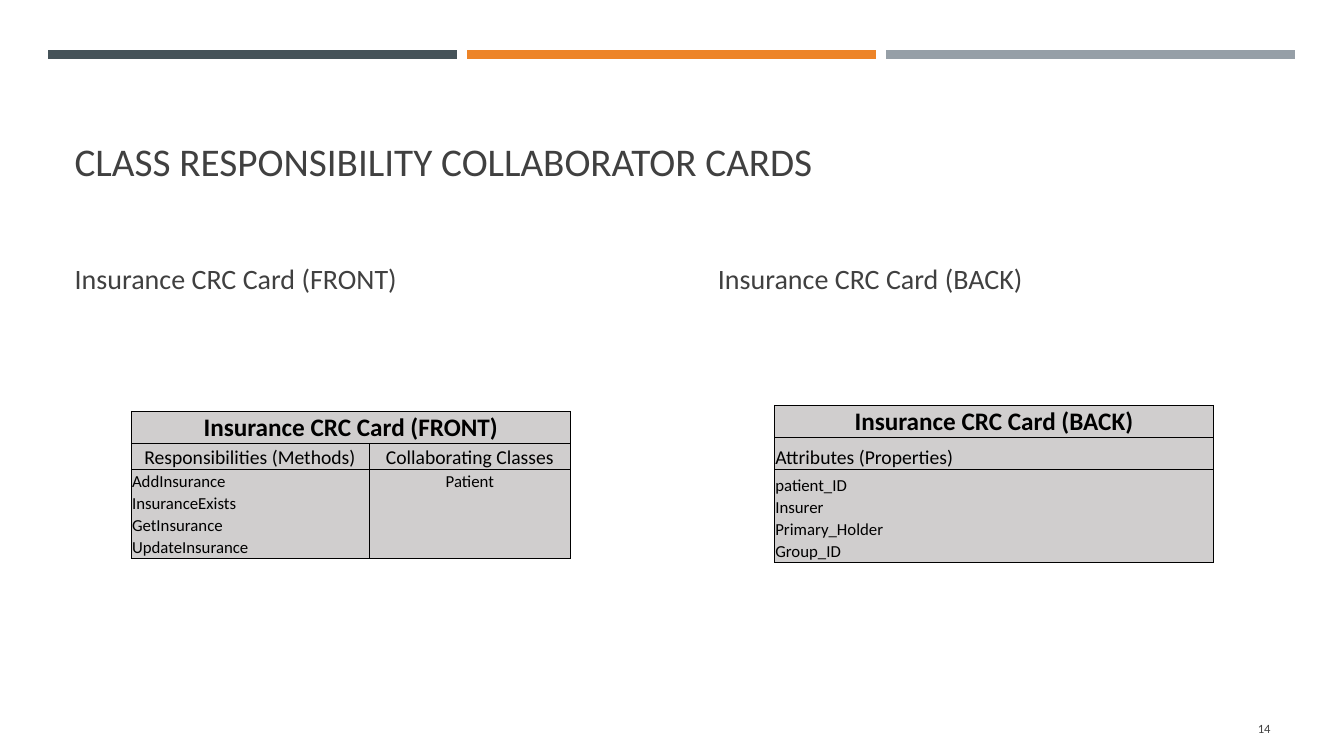
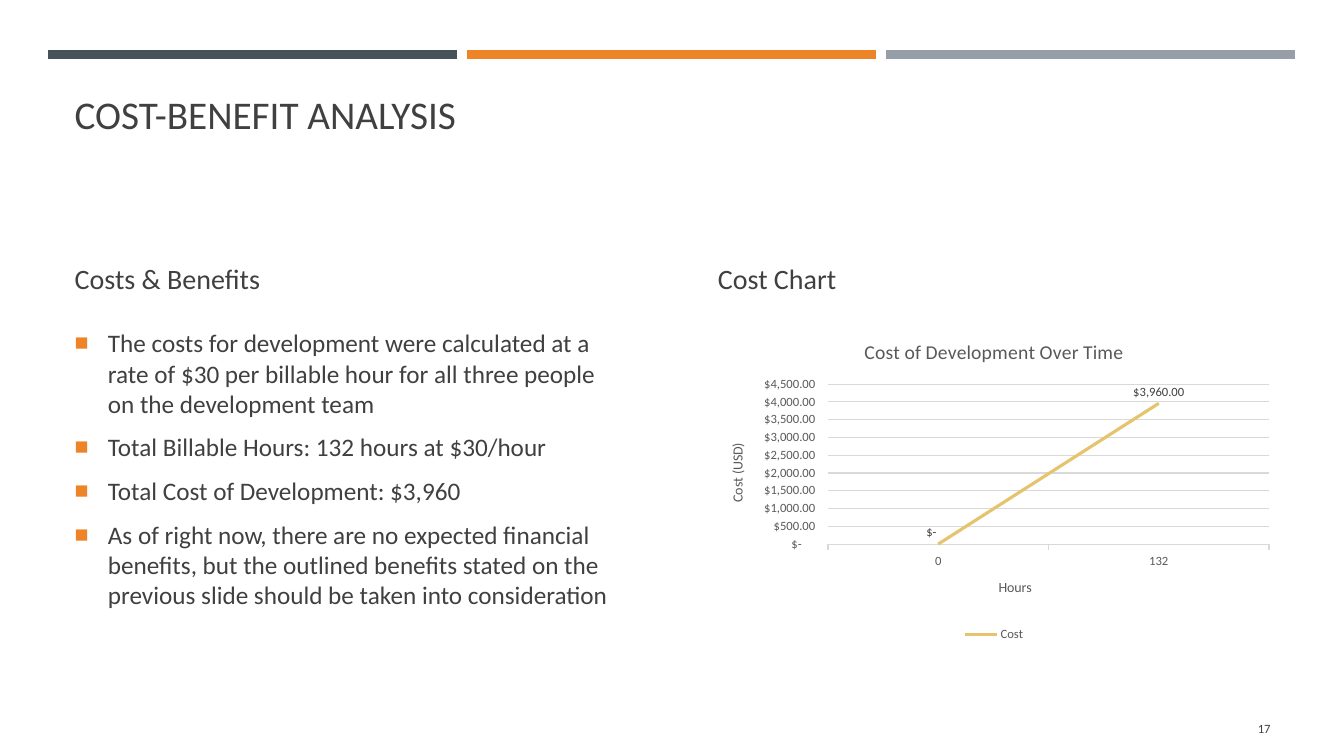
from lxml.etree import SubElement
from pptx import Presentation
from pptx.chart.data import CategoryChartData
from pptx.dml.color import RGBColor
from pptx.enum.chart import XL_CHART_TYPE, XL_LABEL_POSITION, XL_LEGEND_POSITION, XL_TICK_MARK
from pptx.enum.shapes import MSO_CONNECTOR
from pptx.enum.text import MSO_ANCHOR, MSO_AUTO_SIZE, PP_ALIGN
from pptx.oxml.ns import qn
from pptx.util import Inches, Pt

COLORS = {
    "slate": "465359", "orange": "ED8428", "gray": "969FA7",
    "text": "404040", "black": "000000", "card": "D0CECE",
    "chart_text": "595959", "grid": "D9D9D9", "gold": "E6C46D",
}
RGB = {name: RGBColor.from_string(value) for name, value in COLORS.items()}
FONT = "Calibri"
LEFT, RIGHT, COL_W = 0.64, 7.02, 5.68


def style_font(font, size, color, bold=False):
    font.name, font.size, font.bold = FONT, Pt(size), bold
    font.color.rgb = RGB[color]


def fill_box(sp, box, paras, size, anchor, align=PP_ALIGN.LEFT, spaced=False):
    sp.left, sp.top, sp.width, sp.height = [Inches(v) for v in box]
    tf = sp.text_frame
    tf.word_wrap, tf.auto_size, tf.vertical_anchor = True, MSO_AUTO_SIZE.NONE, anchor
    for i, text in enumerate(paras):
        p = tf.add_paragraph() if i else tf.paragraphs[0]
        p.alignment = align
        p.space_before = Pt(size * 0.2 if spaced else 0)
        p.space_after = Pt(6 if spaced else 0)
        r = p.add_run()
        r.text = text
        style_font(r.font, size, "text")


prs = Presentation()
prs.slide_width, prs.slide_height = Inches(13.33), Inches(7.5)

# Shared frame: bands, title, two headings, page number
pages = [
    ("CLASS RESPONSIBILITY COLLABORATOR CARDS", 1.08,
     "Insurance CRC Card (FRONT)", "Insurance CRC Card (BACK)", "14"),
    ("COST-BENEFIT ANALYSIS", 0.61, "Costs & Benefits", "Cost Chart", "17"),
]
slides = []
for title, title_h, left_head, right_head, number in pages:
    s = prs.slides.add_slide(prs.slide_layouts[4])
    slides.append(s)
    for i, color in enumerate(["slate", "orange", "gray"]):
        x = 0.48 + i * 4.155
        band = s.shapes.add_connector(
            MSO_CONNECTOR.STRAIGHT, Inches(x), Inches(0.54), Inches(x + 4.05), Inches(0.54))
        band.line.color.rgb = RGB[color]
        band.line.width = Pt(6.5)
        SubElement(band._element.spPr, qn("a:effectLst"))
    fill_box(s.shapes.title, (LEFT, 0.8, 12.06, title_h), [title], 28, MSO_ANCHOR.BOTTOM)
    for idx, x, head in [(1, LEFT, left_head), (3, RIGHT, right_head)]:
        fill_box(s.placeholders[idx], (x, 2.46, COL_W, 0.61), [head], 20,
                 MSO_ANCHOR.MIDDLE, spaced=True)
    num = s.shapes.add_textbox(0, 0, 0, 0)
    fill_box(num, (11.55, 7.03, 1.15, 0.4), [number], 9, MSO_ANCHOR.MIDDLE, PP_ALIGN.RIGHT)
cards_slide, cost_slide = slides

# Content placeholders replaced by tables and a chart
for s, idx in [(cards_slide, 2), (cards_slide, 4), (cost_slide, 4)]:
    ph = s.placeholders[idx]._element
    ph.getparent().remove(ph)

# CRC cards: merges are (row, first column, last column)
cards = [
    {"at": (1.3, 4.08), "cols": [2.36, 2], "rows": [0.32, 0.26] + [0.22] * 4,
     "text": [["Insurance CRC Card (FRONT)"],
              ["Responsibilities (Methods)", "Collaborating Classes"],
              ["AddInsurance", "Patient"], ["InsuranceExists"],
              ["GetInsurance"], ["UpdateInsurance"]],
     "merges": [(0, 0, 1)], "centred": [(0, 0), (1, 0), (1, 1), (2, 1)], "inner": True},
    {"at": (7.68, 4.02), "cols": [0.67, 0.67, 1.01, 0.67, 0.67, 0.67],
     "rows": [0.32, 0.32, 0.26] + [0.22] * 3,
     "text": [["Insurance CRC Card (BACK)"], ["Attributes (Properties)"],
              ["patient_ID"], ["Insurer"], ["Primary_Holder"], ["Group_ID"]],
     "merges": [(0, 0, 5), (1, 0, 5), (2, 0, 1), (4, 0, 1), (5, 0, 1)],
     "centred": [(0, 0)], "inner": False},
]
for card in cards:
    n_rows, n_cols = len(card["rows"]), len(card["cols"])
    x, y = card["at"]
    table = cards_slide.shapes.add_table(
        n_rows, n_cols, Inches(x), Inches(y),
        Inches(sum(card["cols"])), Inches(sum(card["rows"]))).table
    table.first_row = table.horz_banding = False
    for col, w in zip(table.columns, card["cols"]):
        col.width = Inches(w)
    for row, h in zip(table.rows, card["rows"]):
        row.height = Inches(h)
    for row, first, last in card["merges"]:
        table.cell(row, first).merge(table.cell(row, last))

    for row in range(n_rows):
        size = [18, 14, 12][min(row, 2)]
        for col in range(n_cols):
            cell = table.cell(row, col)
            cell.margin_left = cell.margin_right = cell.margin_top = Inches(0.01)
            cell.margin_bottom = 0
            cell.vertical_anchor = MSO_ANCHOR.BOTTOM
            p = cell.text_frame.paragraphs[0]
            if col < len(card["text"][row]):
                centred = (row, col) in card["centred"]
                p.alignment = PP_ALIGN.CENTER if centred else PP_ALIGN.LEFT
                r = p.add_run()
                r.text = card["text"][row][col]
                style_font(r.font, size, "black", row == 0)
            else:
                SubElement(p._p, qn("a:endParaRPr"), sz=str(size * 100))

            # Headings are boxed; body rows share one outline
            header = row < 2
            sides = {
                "lnL": header or card["inner"] or col == 0,
                "lnR": header or card["inner"] or col == n_cols - 1,
                "lnT": row <= 2,
                "lnB": header or row == n_rows - 1,
            }
            tcPr = cell._tc.get_or_add_tcPr()
            for side, shown in sides.items():
                ln = SubElement(tcPr, qn("a:" + side), w=str(Pt(0.5)))
                if shown:
                    fill = SubElement(ln, qn("a:solidFill"))
                    SubElement(fill, qn("a:srgbClr"), val=COLORS["black"])
                else:
                    SubElement(ln, qn("a:noFill"))
            cell.fill.solid()
            cell.fill.fore_color.rgb = RGB["card"]

# Cost bullets
body = cost_slide.placeholders[2]
fill_box(body, (LEFT, 3.2, COL_W, 3.21), [
    "The costs for development were calculated at a rate of $30 per billable hour "
    "for all three people on the development team",
    "Total Billable Hours: 132 hours at $30/hour",
    "Total Cost of Development: $3,960",
    "As of right now, there are no expected financial benefits, but the outlined benefits "
    "stated on the previous slide should be taken into consideration",
], 18, MSO_ANCHOR.TOP, spaced=True)
for p in body.text_frame.paragraphs:
    pPr = p._p.get_or_add_pPr()
    pPr.set("marL", str(Inches(0.33)))
    pPr.set("indent", str(-Inches(0.33)))
    SubElement(SubElement(pPr, qn("a:buClr")), qn("a:srgbClr"), val=COLORS["orange"])
    SubElement(pPr, qn("a:buSzPct"), val="92000")
    SubElement(pPr, qn("a:buChar"), char="■")

# Cost chart
MONEY = '_("$"* #,##0.00_);_("$"* \\(#,##0.00\\);_("$"* "-"??_);_(@_)'
data = CategoryChartData(number_format=MONEY)
data.categories = ["0", "132"]
data.add_series("Cost", [0, 3960])
chart = cost_slide.shapes.add_chart(
    XL_CHART_TYPE.LINE, Inches(RIGHT), Inches(3.2), Inches(COL_W), Inches(3.21), data).chart
style_font(chart.font, 10, "black")
chart.has_title = True
chart.has_legend = True
chart.legend.position = XL_LEGEND_POSITION.BOTTOM
chart.legend.include_in_layout = False
style_font(chart.legend.font, 9, "chart_text")

cat_axis, val_axis = chart.category_axis, chart.value_axis
for owner, text, size in [(chart.chart_title, "Cost of Development Over Time", 14),
                          (cat_axis.axis_title, "Hours", 10),
                          (val_axis.axis_title, "Cost (USD)", 10)]:
    r = owner.text_frame.paragraphs[0].add_run()
    r.text = text
    style_font(r.font, size, "chart_text")
for axis in (cat_axis, val_axis):
    axis.major_tick_mark = XL_TICK_MARK.OUTSIDE
    style_font(axis.tick_labels.font, 9, "chart_text")
val_axis.minimum_scale, val_axis.maximum_scale, val_axis.major_unit = 0, 4500, 500
val_axis.tick_labels.number_format = MONEY
val_axis.tick_labels.number_format_is_linked = False
val_axis.format.line.fill.background()
for line in (cat_axis.format.line, val_axis.major_gridlines.format.line):
    line.color.rgb = RGB["grid"]
    line.width = Pt(0.75)

plot = chart.plots[0]
plot.vary_by_categories = False
cost = plot.series[0]
cost.smooth = False
cost.format.line.color.rgb = RGB["gold"]
cost.format.line.width = Pt(2.25)
labels = cost.data_labels
labels.show_value = True
labels.position = XL_LABEL_POSITION.ABOVE
labels.number_format = MONEY
labels.number_format_is_linked = False
style_font(labels.font, 9, "text")

prs.save("out.pptx")
